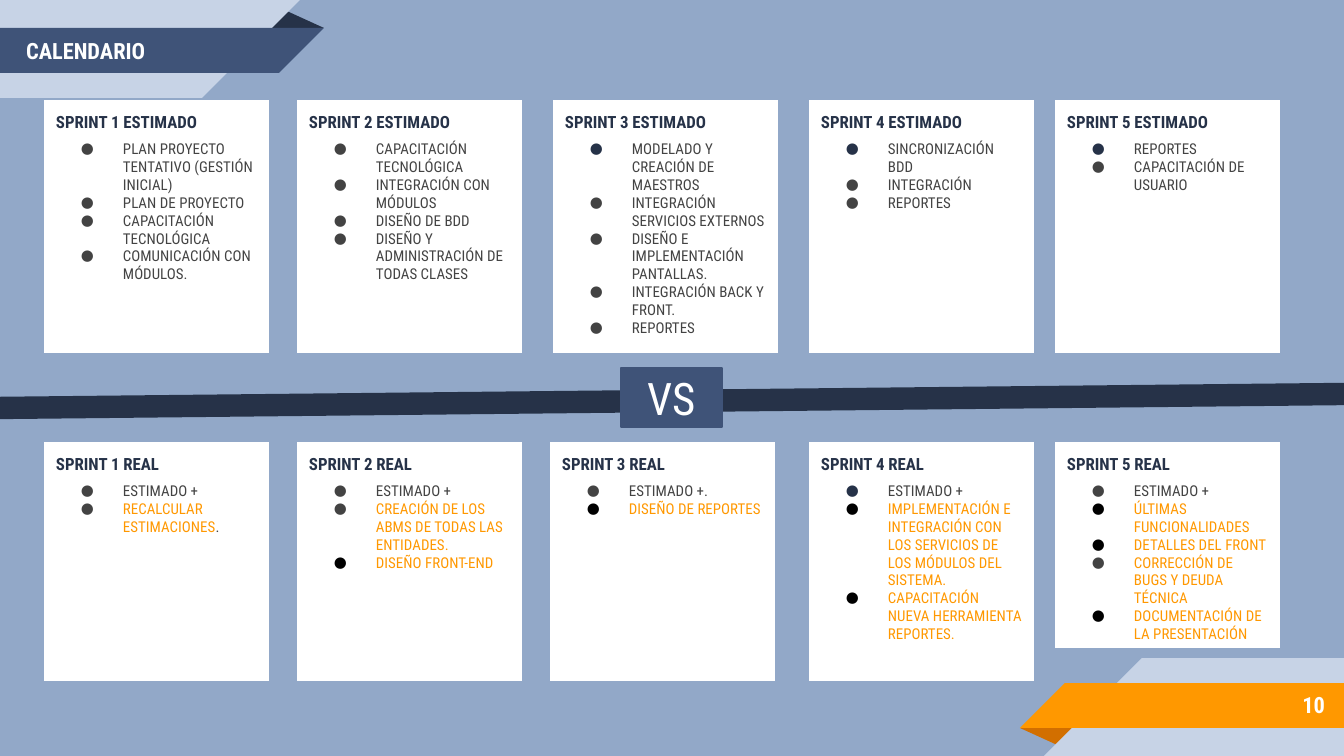
from dataclasses import dataclass
from typing import Any

from lxml import etree
from pptx import Presentation
from pptx import util as u
from pptx.dml import color
from pptx.enum import shapes, text
from pptx.oxml import ns

PX = u.Inches(10) / 1344
WIDTH, HEIGHT = 1344, 756
FONT = "Roboto Condensed"
COLORS = {
    "sky": "92A8C8", "mist": "C7D3E6", "blue": "3F5378", "navy": "263248",
    "orange": "FF9800", "rust": "D26F00", "gray": "434343",
    "black": "000000", "white": "FFFFFF",
}
HEADING = {"size": u.Pt(9), "bold": True}
BODY = {"size": u.Pt(8), "bold": False}
LABEL = {"size": u.Pt(12), "bold": True}
VERSUS = {"size": u.Pt(24), "bold": False}
KIND = shapes.MSO_SHAPE


@dataclass(frozen=True)
class Area:
    left: int
    top: int
    width: int
    height: int

    def emu(self) -> list[int]:
        return [px(n) for n in (self.left, self.top, self.width, self.height)]

    def reflected(self) -> "Area":
        return Area(WIDTH - self.left - self.width, HEIGHT - self.top - self.height,
                    self.width, self.height)


@dataclass(frozen=True)
class Piece:
    kind: Any
    area: Area
    role: str
    turn: int = 0


@dataclass(frozen=True)
class Item:
    words: str
    ink: str = "gray"
    bullet: str = "gray"
    tail: str = ""


@dataclass(frozen=True)
class Card:
    title: str
    area: Area
    items: list[Item]


RIBBON = [
    Piece(KIND.ISOSCELES_TRIANGLE, Area(266, 10, 58, 18), "fold"),
    Piece(KIND.RECTANGLE, Area(0, 0, 202, 98), "back"),
    Piece(KIND.RIGHT_TRIANGLE, Area(202, 0, 98, 98), "back", 90),
    Piece(KIND.RECTANGLE, Area(0, 28, 279, 45), "band"),
    Piece(KIND.RIGHT_TRIANGLE, Area(279, 28, 45, 45), "band", 90),
]

ESTIMATED = [
    [Item("PLAN PROYECTO TENTATIVO (GESTIÓN INICIAL)"), Item("PLAN DE PROYECTO"),
     Item("CAPACITACIÓN TECNOLÓGICA"), Item("COMUNICACIÓN CON MÓDULOS.")],
    [Item("CAPACITACIÓN TECNOLÓGICA"), Item("INTEGRACIÓN CON MÓDULOS"),
     Item("DISEÑO DE BDD"), Item("DISEÑO Y ADMINISTRACIÓN DE TODAS CLASES")],
    [Item("MODELADO Y CREACIÓN DE MAESTROS", bullet="navy"),
     Item("INTEGRACIÓN SERVICIOS EXTERNOS"),
     Item("DISEÑO E IMPLEMENTACIÓN PANTALLAS."),
     Item("INTEGRACIÓN BACK Y FRONT."), Item("REPORTES")],
    [Item("SINCRONIZACIÓN BDD", bullet="navy"), Item("INTEGRACIÓN"), Item("REPORTES")],
    [Item("REPORTES", bullet="navy"), Item("CAPACITACIÓN DE USUARIO")],
]
ACTUAL = [
    [Item("ESTIMADO +"), Item("RECALCULAR ESTIMACIONES", "orange", tail=".")],
    [Item("ESTIMADO +"),
     Item("CREACIÓN DE LOS ABMS DE TODAS LAS ENTIDADES.", "orange"),
     Item("DISEÑO FRONT-END", "orange", "black")],
    [Item("ESTIMADO +."), Item("DISEÑO DE REPORTES", "orange", "black")],
    [Item("ESTIMADO +", bullet="navy"),
     Item("IMPLEMENTACIÓN E INTEGRACIÓN CON LOS SERVICIOS DE LOS MÓDULOS DEL SISTEMA.",
          "orange", "black"),
     Item("CAPACITACIÓN NUEVA HERRAMIENTA REPORTES.", "orange", "black")],
    [Item("ESTIMADO +"), Item("ÚLTIMAS FUNCIONALIDADES", "orange", "black"),
     Item("DETALLES DEL FRONT", "orange", "black"),
     Item("CORRECCIÓN DE BUGS Y DEUDA TÉCNICA", "orange"),
     Item("DOCUMENTACIÓN DE LA PRESENTACIÓN", "orange", "black")],
]


def px(length: int) -> int:
    return round(length * PX)


def rgb(name: str) -> color.RGBColor:
    return color.RGBColor.from_string(COLORS[name])


def set_values(target: Any, values: dict[str, Any]) -> None:
    for name, value in values.items():
        setattr(target, name, value)


def add_span(para: Any, words: str, ink: str, style: dict[str, Any]) -> None:
    span = para.add_run()
    span.text = words
    set_values(span.font, {"name": FONT, **style})
    span.font.color.rgb = rgb(ink)


def prepare_frame(box: Any, anchor: Any) -> Any:
    frame = box.text_frame
    sides = ("left", "top", "right", "bottom")
    set_values(frame, {f"margin_{side}": px(13) for side in sides})
    set_values(frame, {"word_wrap": True, "vertical_anchor": anchor})
    return frame.paragraphs[0]


def add_bullet(para: Any, ink: str) -> None:
    props = para._p.get_or_add_pPr()
    props.set("marL", str(px(67)))
    props.set("indent", str(px(-42)))
    holder = etree.SubElement(props, ns.qn("a:buClr"))
    etree.SubElement(holder, ns.qn("a:srgbClr"), val=COLORS[ink])
    etree.SubElement(props, ns.qn("a:buFont"), typeface=FONT)
    etree.SubElement(props, ns.qn("a:buChar"), char="●")


def add_box(page: Any, kind: Any, area: Area, fill: str, line: str = "") -> Any:
    box = page.shapes.add_shape(kind, *area.emu())
    box.shadow.inherit = False
    box.fill.solid()
    box.fill.fore_color.rgb = rgb(fill)
    if line:
        box.line.color.rgb = rgb(line)
        box.line.width = u.Pt(0.75)
    else:
        box.line.fill.background()
    return box


def add_ribbon(page: Any, fills: dict[str, str], reflected: bool = False) -> None:
    for piece in RIBBON:
        area = piece.area.reflected() if reflected else piece.area
        box = add_box(page, piece.kind, area, fills[piece.role])
        box.rotation = piece.turn + (180 if reflected else 0)
        if piece.kind == KIND.ISOSCELES_TRIANGLE:
            box.adjustments[0] = 0.32


def add_label(page: Any, words: str, area: Area, align: Any) -> None:
    box = page.shapes.add_textbox(*area.emu())
    para = prepare_frame(box, text.MSO_ANCHOR.MIDDLE)
    para.alignment = align
    add_span(para, words, "white", LABEL)


def add_card(page: Any, card: Card) -> None:
    box = add_box(page, KIND.RECTANGLE, card.area, "white", "sky")
    heading = prepare_frame(box, text.MSO_ANCHOR.TOP)
    heading.alignment = text.PP_ALIGN.LEFT
    add_span(heading, card.title, "navy", HEADING)
    for index, item in enumerate(card.items):
        para = box.text_frame.add_paragraph()
        add_bullet(para, item.bullet)
        set_values(para, {"alignment": text.PP_ALIGN.LEFT,
                          "space_before": u.Pt(0 if index else 4)})
        add_span(para, item.words, item.ink, BODY)
        if item.tail:
            add_span(para, item.tail, "gray", BODY)


def add_row(page: Any, suffix: str, top: int, lefts: list[int],
            heights: list[int], lists: list[list[Item]]) -> None:
    for number, (left, height, items) in enumerate(zip(lefts, heights, lists), 1):
        area = Area(left, top, 227, height)
        add_card(page, Card(f"SPRINT {number} {suffix}", area, items))


def add_versus(page: Any) -> None:
    line = page.shapes.add_connector(
        shapes.MSO_CONNECTOR.STRAIGHT, px(0), px(408), px(WIDTH), px(394))
    line.line.color.rgb = rgb("navy")
    line.line.width = u.Pt(12)
    etree.SubElement(line._element.spPr, ns.qn("a:effectLst"))
    box = add_box(page, KIND.RECTANGLE, Area(621, 368, 101, 59), "blue", "blue")
    para = prepare_frame(box, text.MSO_ANCHOR.MIDDLE)
    para.alignment = text.PP_ALIGN.CENTER
    add_span(para, "VS", "white", VERSUS)


def main() -> None:
    deck = Presentation()
    set_values(deck, {"slide_width": px(WIDTH), "slide_height": px(HEIGHT)})
    page = deck.slides.add_slide(deck.slide_layouts[6])
    page.background.fill.solid()
    page.background.fill.fore_color.rgb = rgb("sky")
    add_ribbon(page, {"fold": "navy", "back": "mist", "band": "blue"})
    add_ribbon(page, {"fold": "rust", "back": "mist", "band": "orange"}, reflected=True)
    add_label(page, "CALENDARIO", Area(13, 30, 308, 42), text.PP_ALIGN.LEFT)
    add_label(page, "10", Area(1119, 681, 219, 47), text.PP_ALIGN.RIGHT)
    add_row(page, "ESTIMADO", 99, [43, 296, 552, 808, 1054], [255] * 5, ESTIMATED)
    add_row(page, "REAL", 441, [43, 296, 549, 808, 1054], [241] * 4 + [208], ACTUAL)
    add_versus(page)
    deck.save("out.pptx")


if __name__ == "__main__":
    main()
